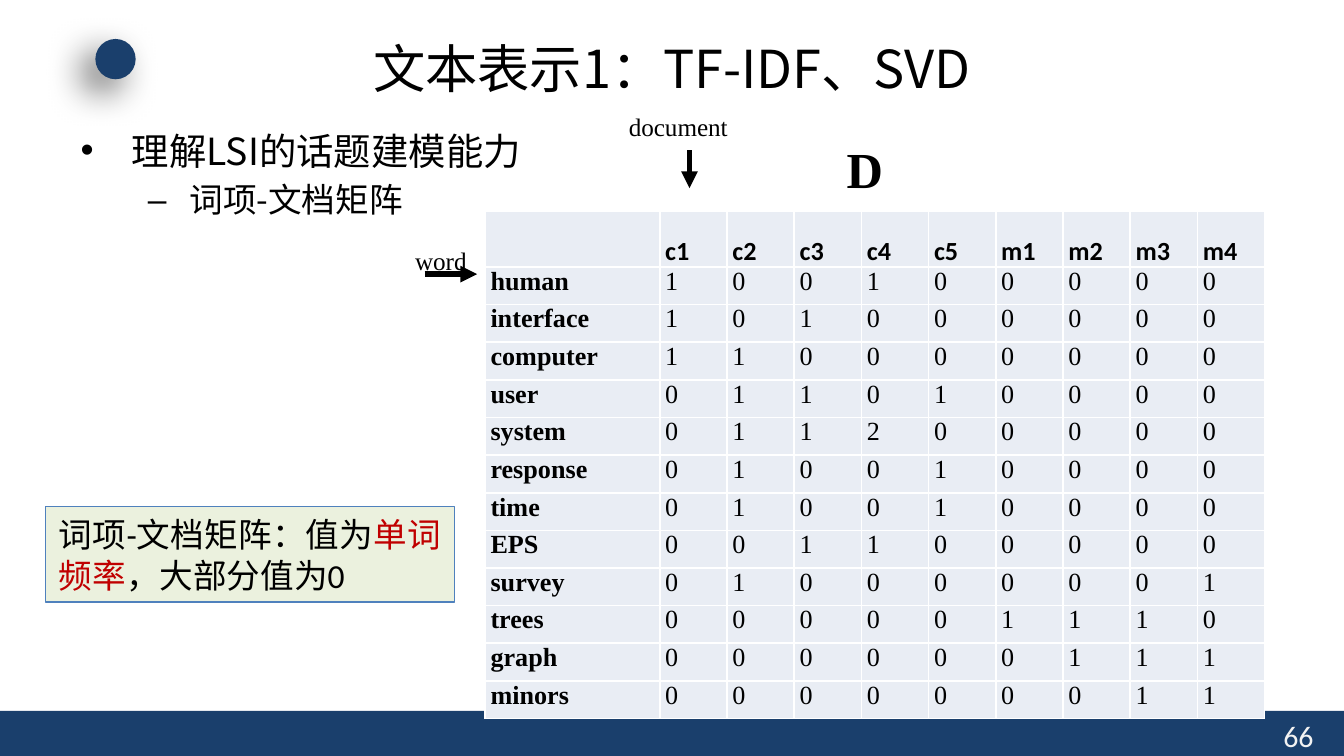
import dataclasses

import lxml.etree
import pptx
import pptx.dml.color
import pptx.enum.shapes
import pptx.enum.text
import pptx.oxml
import pptx.oxml.ns
import pptx.util

Inches = pptx.util.Inches
Pt = pptx.util.Pt
qn = pptx.oxml.ns.qn
ALIGN = pptx.enum.text.PP_ALIGN
SHAPE = pptx.enum.shapes.MSO_SHAPE

TERMS = ["c1", "c2", "c3", "c4", "c5", "m1", "m2", "m3", "m4"]
WORD_COUNTS = {
    "human": "100100000",
    "interface": "101000000",
    "computer": "110000000",
    "user": "011010000",
    "system": "011200000",
    "response": "010010000",
    "time": "010010000",
    "EPS": "001100000",
    "survey": "010000001",
    "trees": "000001110",
    "graph": "000000111",
    "minors": "000000011",
}


@dataclasses.dataclass(frozen=True)
class Theme:
    navy: str = "1A3F6C"
    black: str = "000000"
    white: str = "FFFFFF"
    page_number: str = "F2F2F2"
    cell: str = "E9EDF4"
    note_fill: str = "EBF1DE"
    note_line: str = "4F81BD"
    accent: str = "C00000"
    sans: str = "Calibri"
    serif: str = "Times New Roman"
    chinese: str = "Noto Sans CJK SC"
    title_size: float = 28
    symbol_size: float = 27
    topic_size: float = 20
    body_size: float = 18
    page_size: float = 16
    table_size: float = 14
    label_size: float = 13.5


def rgb(value):
    return pptx.dml.color.RGBColor.from_string(value)


def drawing_xml(tag, content="", attributes=""):
    namespace = pptx.oxml.ns.nsdecls("a")
    return pptx.oxml.parse_xml(f"<a:{tag} {namespace} {attributes}>{content}</a:{tag}>")


class SlideBuilder:
    def __init__(self, slide, theme):
        self.slide = slide
        self.theme = theme

    def style(self, paragraph, size, font, color=None, bold=False):
        paragraph.font.size = Pt(size)
        paragraph.font.name = font
        paragraph.font.bold = bold
        paragraph.font.color.rgb = rgb(color or self.theme.black)

    def place(self, shape, left, top, width, height):
        shape.left, shape.top = Inches(left), Inches(top)
        shape.width, shape.height = Inches(width), Inches(height)

    def title(self, text, *box):
        shape = self.slide.shapes.title
        self.place(shape, *box)
        shape.text_frame.text = text
        shape.text_frame.vertical_anchor = pptx.enum.text.MSO_ANCHOR.MIDDLE
        paragraph = shape.text_frame.paragraphs[0]
        paragraph.alignment = ALIGN.CENTER
        self.style(paragraph, self.theme.title_size, self.theme.chinese)

    def bullets(self, items, *box):
        """Each item is (text, level, bullet, margin, hanging, size, space before)."""
        shape = self.slide.placeholders[1]
        self.place(shape, *box)
        frame = shape.text_frame
        frame.auto_size = pptx.enum.text.MSO_AUTO_SIZE.NONE
        frame.text = "\n".join(item[0] for item in items)
        for paragraph, item in zip(frame.paragraphs, items):
            _, level, bullet, margin, hanging, size, space = item
            paragraph.level = level
            paragraph.space_before = Pt(space)
            properties = paragraph._p.get_or_add_pPr()
            properties.set("marL", str(Inches(margin)))
            properties.set("indent", str(-Inches(hanging)))
            properties.append(drawing_xml("buFont", attributes='typeface="Arial"'))
            properties.append(drawing_xml("buChar", attributes=f'char="{bullet}"'))
            self.style(paragraph, size, self.theme.chinese)

    def shape(self, kind, fill, *box, line=None):
        shape = self.slide.shapes.add_shape(kind, *map(Inches, box))
        shape.shadow.inherit = False
        shape.fill.solid()
        shape.fill.fore_color.rgb = rgb(fill)
        if line:
            shape.line.color.rgb = rgb(line)
            shape.line.width = Pt(0.75)
        else:
            shape.line.fill.background()
        return shape

    def shadowed_ball(self, *box):
        ball = self.shape(SHAPE.OVAL, self.theme.navy, *box)
        effects = ball._element.spPr.find(qn("a:effectLst"))
        effects.append(drawing_xml(
            "outerShdw",
            '<a:srgbClr val="000000"><a:alpha val="60000"/></a:srgbClr>',
            f'blurRad="{Pt(20)}" dist="{Pt(10)}" dir="{135 * 60000}" algn="tr" rotWithShape="0"',
        ))

    def text(self, text, *box, size, font, color=None, bold=False):
        frame = self.slide.shapes.add_textbox(*map(Inches, box)).text_frame
        frame.word_wrap = False
        frame.text = text
        self.style(frame.paragraphs[0], size, font, color, bold)

    def note(self, runs, *box):
        shape = self.shape(SHAPE.RECTANGLE, self.theme.note_fill, *box, line=self.theme.note_line)
        shape.text_frame.word_wrap = True
        paragraph = shape.text_frame.paragraphs[0]
        paragraph.alignment = ALIGN.JUSTIFY
        self.style(paragraph, self.theme.body_size, self.theme.sans)
        for text, color in runs:
            run = paragraph.add_run()
            run.text = text
            run.font.color.rgb = rgb(color)

    def arrow(self, *ends):
        straight = pptx.enum.shapes.MSO_CONNECTOR.STRAIGHT
        connector = self.slide.shapes.add_connector(straight, *map(Inches, ends))
        connector.line.color.rgb = rgb(self.theme.black)
        connector.line.width = Pt(3)
        connector.line._get_or_add_ln().append(drawing_xml("tailEnd", attributes='type="triangle"'))
        lxml.etree.SubElement(connector._element.spPr, qn("a:effectLst"))

    def cell(self, cell, text, font, bold, line_spacing=None):
        cell.margin_left = cell.margin_right = Inches(0.04)
        cell.margin_top = cell.margin_bottom = 0
        border = f'<a:solidFill><a:srgbClr val="{self.theme.white}"/></a:solidFill>'
        for side in ("lnL", "lnR", "lnT", "lnB"):
            cell._tc.get_or_add_tcPr().append(drawing_xml(side, border, f'w="{Pt(1)}"'))
        cell.fill.solid()
        cell.fill.fore_color.rgb = rgb(self.theme.cell)
        cell.text = text
        paragraph = cell.text_frame.paragraphs[0]
        paragraph.line_spacing = line_spacing
        self.style(paragraph, self.theme.table_size, font, bold=bold)

    def matrix(self, header, counts, left, top):
        """Draw a word-by-document table with bold row and column heads."""
        rows = [["", *header]] + [[word, *values] for word, values in counts.items()]
        widths = [1.3] + [0.5] * len(header)
        heights = [0.4] + [0.28] * len(counts)
        table = self.slide.shapes.add_table(
            len(rows), len(widths),
            *map(Inches, (left, top, sum(widths), sum(heights))),
        ).table
        table.first_row = table.horz_banding = False
        for column, width in zip(table.columns, widths):
            column.width = Inches(width)
        for row_index, (row, height) in enumerate(zip(rows, heights)):
            table.rows[row_index].height = Inches(height)
            is_head = row_index == 0
            font = self.theme.sans if is_head else self.theme.serif
            for column_index, text in enumerate(row):
                self.cell(table.cell(row_index, column_index), text, font,
                          bold=is_head or column_index == 0,
                          line_spacing=Pt(30) if is_head and text else None)


def main():
    theme = Theme()
    presentation = pptx.Presentation()
    presentation.slide_width = Inches(10)
    presentation.slide_height = presentation.slide_width * 9 // 16
    builder = SlideBuilder(presentation.slides.add_slide(presentation.slide_layouts[1]), theme)

    builder.shape(SHAPE.RECTANGLE, theme.navy, 0, 5.29, 10, 0.34)
    builder.text("66", 9.45, 5.29, 0.5, 0.3,
                 size=theme.page_size, font=theme.sans, color=theme.page_number)
    builder.shadowed_ball(0.71, 0.29, 0.3, 0.3)
    builder.title("文本表示1：TF-IDF、SVD", 0.5, 0.23, 9, 0.55)
    builder.bullets([
        ("理解LSI的话题建模能力", 0, "•", 0.38, 0.38, theme.topic_size, 0),
        ("词项-文档矩阵", 1, "–", 0.81, 0.31, theme.body_size, 3.6),
    ], 0.5, 0.9, 9, 4.31)

    builder.matrix(TERMS, WORD_COUNTS, 3.61, 1.57)
    builder.text("D", 6.2, 0.98, 0.48, 0.56, size=theme.symbol_size, font=theme.serif, bold=True)
    builder.text("word", 2.99, 1.78, 0.59, 0.33, size=theme.label_size, font=theme.serif)
    builder.arrow(3.16, 2.04, 3.55, 2.04)
    builder.arrow(5.13, 1.12, 5.13, 1.4)
    builder.text("document", 4.58, 0.78, 0.95, 0.33, size=theme.label_size, font=theme.serif)
    builder.note([
        ("词项-文档矩阵：值为", theme.black),
        ("单词频率", theme.accent),
        ("，大部分值为0", theme.black),
    ], 0.34, 3.77, 3.04, 0.71)

    presentation.save("out.pptx")


if __name__ == "__main__":
    main()
